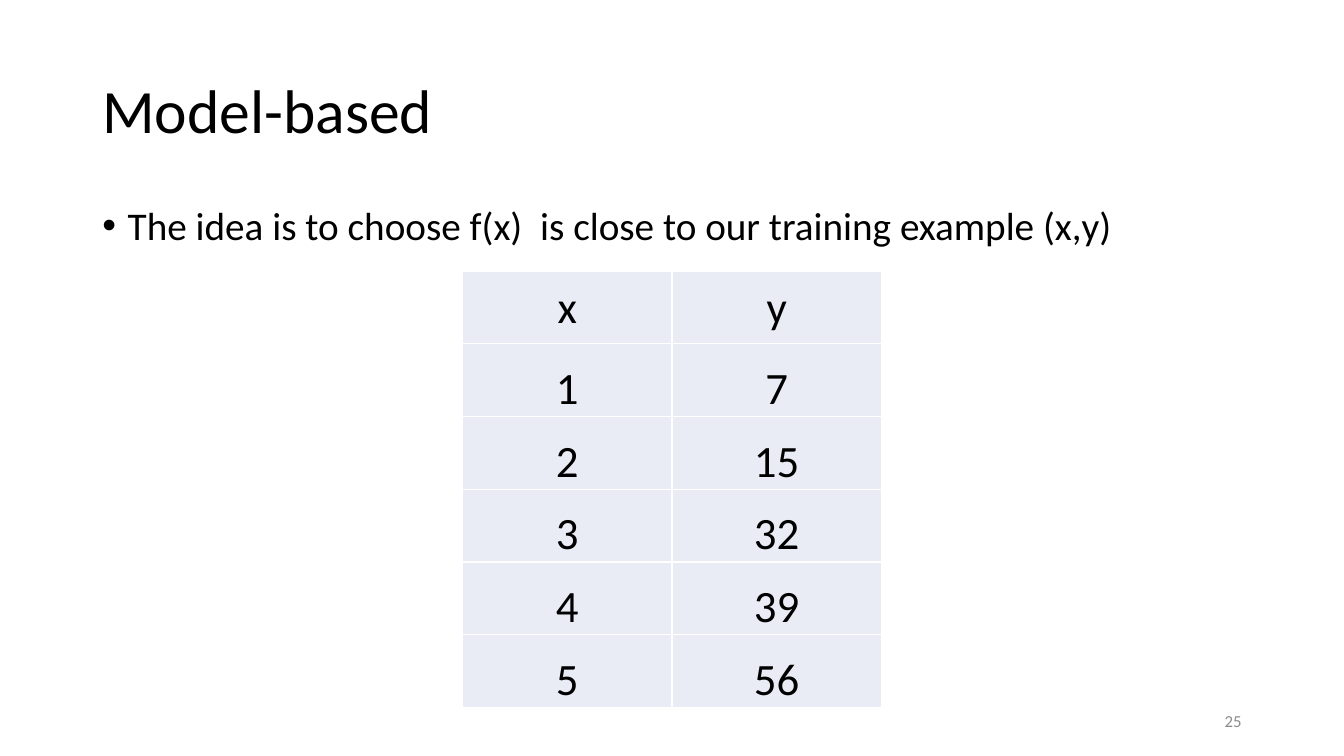
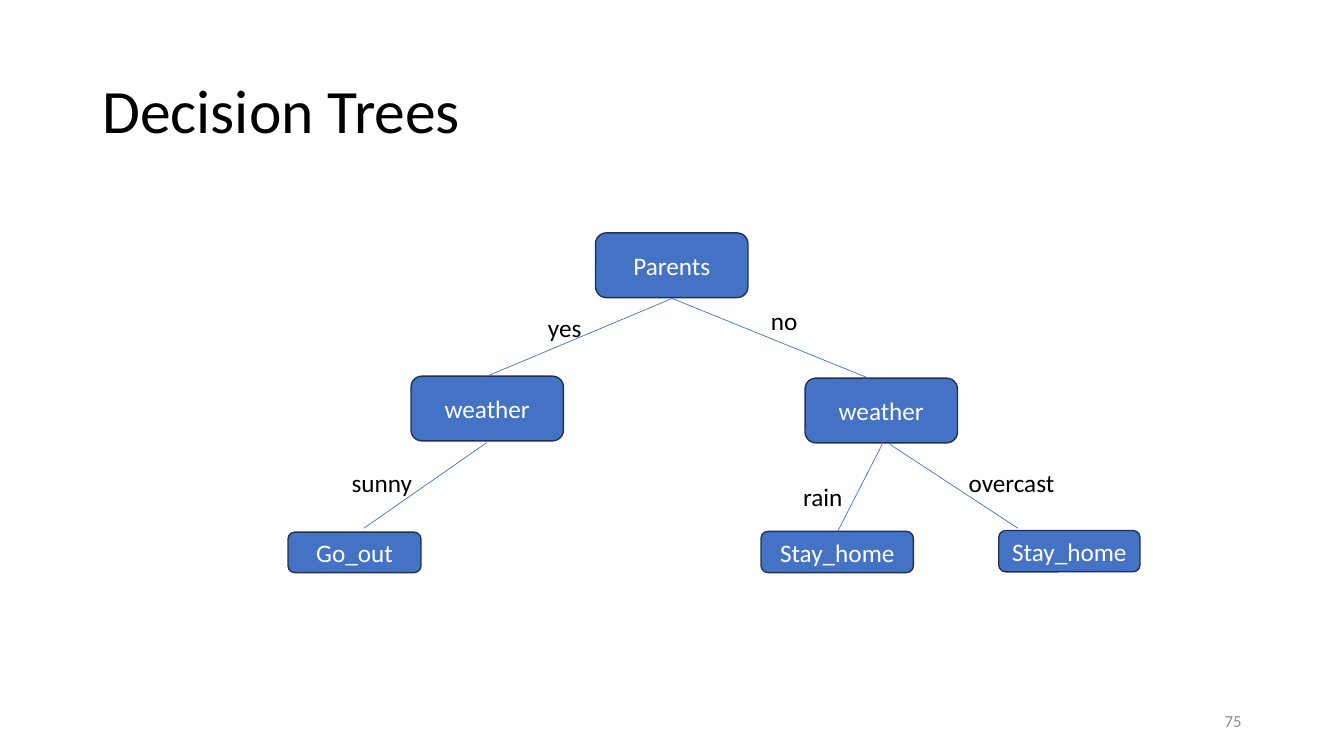
from lxml import etree
from pptx import Presentation
from pptx.dml.color import RGBColor
from pptx.enum.shapes import MSO_CONNECTOR, MSO_SHAPE
from pptx.enum.text import MSO_ANCHOR, PP_ALIGN
from pptx.oxml.ns import qn
from pptx.util import Cm, Pt

ROUNDED = MSO_SHAPE.ROUNDED_RECTANGLE
STRAIGHT = MSO_CONNECTOR.STRAIGHT
TOP, MIDDLE, BOTTOM = MSO_ANCHOR.TOP, MSO_ANCHOR.MIDDLE, MSO_ANCHOR.BOTTOM
LEFT, CENTER, RIGHT = PP_ALIGN.LEFT, PP_ALIGN.CENTER, PP_ALIGN.RIGHT

FONT = "Calibri"
BLACK = RGBColor(0x00, 0x00, 0x00)
WHITE = RGBColor(0xFF, 0xFF, 0xFF)
GRAY = RGBColor(0x8C, 0x8C, 0x8C)
BLUE = RGBColor(0x44, 0x72, 0xC4)
NAVY = RGBColor(0x1E, 0x32, 0x56)
PALE_BLUE = RGBColor(0xE9, 0xEB, 0xF5)

# Boxes are left, top, width, height in centimetres.
TITLE_BOX = (2.33, 1.01, 29.21, 3.68)
BODY_BOX = (2.33, 5.07, 29.21, 12.09)
NUMBER_BOX = (23.92, 17.66, 7.62, 1.01)
TABLE_BOX = (11.66, 6.83, 10.55, 11)
TREE_BOX = (7.26, 5.87, 21.47, 8.56)

SAMPLES = [("x", "y"), ("1", "7"), ("2", "15"), ("3", "32"), ("4", "39"), ("5", "56")]

# Tree parts are placed from the top left corner of the tree.
NODES = [
    ("Parents", 7.75, 0, 3.84, 1.63),
    ("weather", 3.1, 3.61, 3.84, 1.63),
    ("weather", 13.03, 3.66, 3.84, 1.63),
    ("Go_out", 0, 7.54, 3.35, 1.02),
    ("Stay_home", 11.92, 7.52, 3.84, 1.04),
    ("Stay_home", 17.91, 7.5, 3.56, 1.04),
]
BRANCHES = [
    (9.68, 1.65, 5.01, 3.61),
    (9.68, 1.65, 14.63, 3.66),
    (5.01, 5.28, 1.91, 7.44),
    (14.97, 5.33, 13.85, 7.52),
    (15.17, 5.33, 18.39, 7.44),
]
ANSWERS = [
    ("yes", 6.3, 1.88, 1.6),
    ("no", 11.92, 1.7, 1.6),
    ("sunny", 1.35, 5.79, 2.46),
    ("rain", 12.73, 6.14, 2.46),
    ("overcast", 16.9, 5.79, 2.97),
]
ANSWER_HEIGHT = 1.03


def cm(values):
    return [Cm(value) for value in values]


def write(frame, text, size, color, align=LEFT):
    """Put one styled paragraph in a text frame and return it."""
    frame.word_wrap = True
    paragraph = frame.paragraphs[0]
    paragraph.text = text
    paragraph.alignment = align
    font = paragraph.font
    font.name, font.size, font.color.rgb = FONT, Pt(size), color
    return paragraph


def add_text(slide, box, text, size, color=BLACK, align=LEFT, anchor=TOP):
    frame = slide.shapes.add_textbox(*cm(box)).text_frame
    frame.vertical_anchor = anchor
    return write(frame, text, size, color, align)


def add_titled_slide(prs, title, number):
    slide = prs.slides.add_slide(prs.slide_layouts[6])
    add_text(slide, TITLE_BOX, title, 44, anchor=MIDDLE).line_spacing = 0.9
    add_text(slide, NUMBER_BOX, number, 12, GRAY, RIGHT, MIDDLE)
    return slide


def add_bullet(slide, box, text):
    paragraph = add_text(slide, box, text, 28)
    paragraph.line_spacing = 0.9
    paragraph.space_before = Pt(10)
    properties = paragraph._p.get_or_add_pPr()
    properties.set("marL", str(Cm(0.64)))
    properties.set("indent", str(-Cm(0.64)))
    bullet_font = etree.Element(qn("a:buFont"), typeface="Arial")
    bullet = etree.Element(qn("a:buChar"), char="•")
    spacing = properties.find(qn("a:spcBef"))
    spacing.addnext(bullet_font)
    bullet_font.addnext(bullet)


def set_borders(cell, color, width):
    properties = cell._tc.get_or_add_tcPr()
    for position, side in enumerate(("a:lnL", "a:lnR", "a:lnT", "a:lnB")):
        line = etree.Element(qn(side), w=str(width))
        fill = etree.SubElement(line, qn("a:solidFill"))
        etree.SubElement(fill, qn("a:srgbClr"), val=str(color))
        properties.insert(position, line)


def add_sample_table(slide, box, rows):
    table = slide.shapes.add_table(len(rows), len(rows[0]), *cm(box)).table
    table.first_row = table.horz_banding = False
    for r, values in enumerate(rows):
        for c, value in enumerate(values):
            cell = table.cell(r, c)
            cell.margin_left = cell.margin_right = cell.margin_top = Cm(0.03)
            cell.margin_bottom = 0
            cell.vertical_anchor = BOTTOM if r else MIDDLE
            cell.fill.solid()
            cell.fill.fore_color.rgb = PALE_BLUE
            set_borders(cell, WHITE, Pt(1))
            write(cell.text_frame, value, 32, BLACK, CENTER)


def add_node(slide, box, text):
    node = slide.shapes.add_shape(ROUNDED, *cm(box))
    node.shadow.inherit = False
    node.fill.solid()
    node.fill.fore_color.rgb = BLUE
    node.line.color.rgb = NAVY
    node.line.width = Pt(1)
    node.text_frame.vertical_anchor = MIDDLE
    write(node.text_frame, text, 18, WHITE, CENTER)


def add_branch(slide, ends):
    branch = slide.shapes.add_connector(STRAIGHT, *cm(ends))
    branch.line.color.rgb = BLUE
    branch.line.width = Pt(0.5)
    etree.SubElement(branch._element.spPr, qn("a:effectLst"))


def add_tree(slide, box):
    left, top = box[:2]
    for text, x, y, width, height in NODES:
        add_node(slide, (left + x, top + y, width, height), text)
    for x1, y1, x2, y2 in BRANCHES:
        add_branch(slide, (left + x1, top + y1, left + x2, top + y2))
    for text, x, y, width in ANSWERS:
        add_text(slide, (left + x, top + y, width, ANSWER_HEIGHT), text, 18)


def add_model_slide(prs):
    slide = add_titled_slide(prs, "Model-based", "25")
    add_bullet(slide, BODY_BOX,
               "The idea is to choose f(x)  is close to our training example (x,y)")
    add_sample_table(slide, TABLE_BOX, SAMPLES)


def add_tree_slide(prs):
    slide = add_titled_slide(prs, "Decision Trees", "75")
    add_tree(slide, TREE_BOX)


def main():
    prs = Presentation()
    prs.slide_width, prs.slide_height = Cm(33.87), Cm(19.05)
    add_model_slide(prs)
    add_tree_slide(prs)
    prs.save("out.pptx")


if __name__ == "__main__":
    main()
